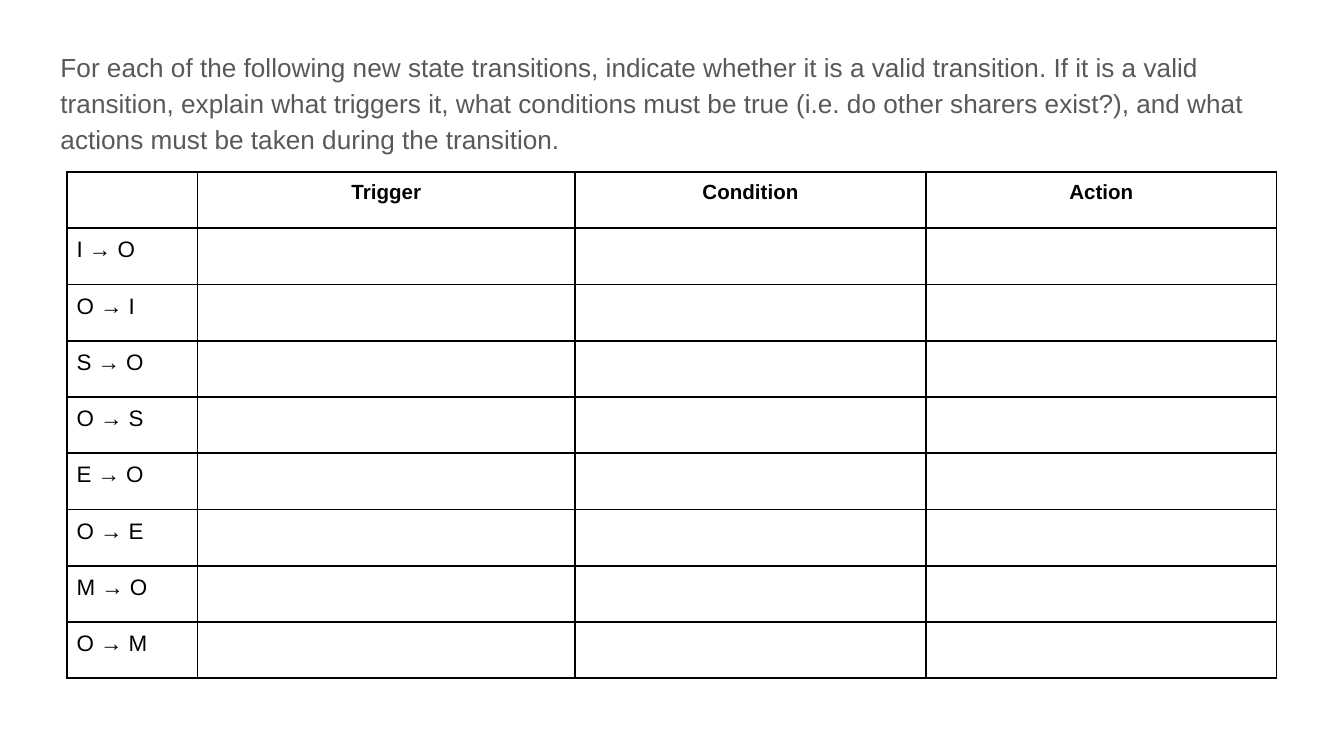
from dataclasses import dataclass

from pptx import Presentation
from pptx import util as u
from pptx.dml.color import RGBColor
from pptx.enum import text
from pptx.oxml import parse_xml
from pptx.oxml.ns import nsdecls


@dataclass(frozen=True)
class Theme:
    face: str = "Arial"
    ink: str = "000000"
    soft: str = "595959"
    paper: str = "FFFFFF"
    lead: int = 14
    head: int = 11
    body: int = 12
    rule: int = 1


THEME = Theme()
WIDE = 10
HIGH = WIDE * 9 / 16
PROMPT = (
    "For each of the following new state transitions, indicate whether it is a valid "
    "transition. If it is a valid transition, explain what triggers it, what conditions "
    "must be true (i.e. do other sharers exist?), and what actions must be taken during "
    "the transition."
)
HEADS = ["", "Trigger", "Condition", "Action"]
MOVES = [move for s in "ISEM" for move in (f"{s} → O", f"O → {s}")]
SHARES = [0.97, 2.81, 2.61, 2.61]


def style(para, size, color, bold=False):
    font = para.font
    font.name, font.size, font.bold = THEME.face, u.Pt(size), bold
    font.color.rgb = RGBColor.from_string(color)


def pad(part, gap):
    part.margin_left = part.margin_right = u.Inches(gap)
    part.margin_top = part.margin_bottom = u.Inches(gap)


def border(cell):
    props = cell._tc.get_or_add_tcPr()
    for i, side in enumerate(["lnL", "lnR", "lnT", "lnB"]):
        line = parse_xml(
            f'<a:{side} {nsdecls("a")} w="{u.Pt(THEME.rule)}"><a:solidFill>'
            f'<a:srgbClr val="{THEME.ink}"/></a:solidFill></a:{side}>'
        )
        props.insert(i, line)


def add_prompt(slide, box):
    title = slide.shapes.title.element
    title.getparent().remove(title)
    body = slide.placeholders[1]
    body.left, body.top, body.width, body.height = map(u.Inches, box)
    frame = body.text_frame
    frame.text = PROMPT
    frame.word_wrap = True
    frame.auto_size = text.MSO_AUTO_SIZE.NONE
    frame.vertical_anchor = text.MSO_ANCHOR.TOP
    pad(frame, 0.1)
    para = frame.paragraphs[0]
    style(para, THEME.lead, THEME.soft)
    para.line_spacing = 1.15
    para.space_before, para.space_after = u.Pt(0), u.Pt(12)
    props = para._p.get_or_add_pPr()
    props.set("marL", "0")
    props.set("indent", "0")
    mark = parse_xml(f'<a:buNone {nsdecls("a")}/>')
    props.insert_element_before(mark, "a:tabLst", "a:defRPr", "a:extLst")


def fill_cell(cell, words, head):
    cell.fill.solid()
    cell.fill.fore_color.rgb = RGBColor.from_string(THEME.paper)
    border(cell)
    if not words:
        return
    cell.text = words
    pad(cell, 0.07)
    para = cell.text_frame.paragraphs[0]
    style(para, THEME.head if head else THEME.body, THEME.ink, head)
    if head:
        para.alignment = text.PP_ALIGN.CENTER


def add_grid(slide, box):
    width, height = box[2:]
    rows = [HEADS] + [[move, "", "", ""] for move in MOVES]
    table = slide.shapes.add_table(len(rows), len(HEADS), *map(u.Inches, box)).table
    table.first_row = table.horz_banding = False
    for col, share in zip(table.columns, SHARES):
        col.width = u.Inches(width * share / sum(SHARES))
    for r, words in enumerate(rows):
        table.rows[r].height = u.Inches(height / len(rows))
        for c, word in enumerate(words):
            fill_cell(table.cell(r, c), word, r == 0)


def main():
    deck = Presentation()
    deck.slide_width, deck.slide_height = u.Inches(WIDE), u.Inches(HIGH)
    slide = deck.slides.add_slide(deck.slide_layouts[1])
    add_prompt(slide, (0.35, 0.25, 9.32, 0.94))
    add_grid(slide, (0.5, 1.28, 9, 3.77))
    deck.save("out.pptx")


if __name__ == "__main__":
    main()
